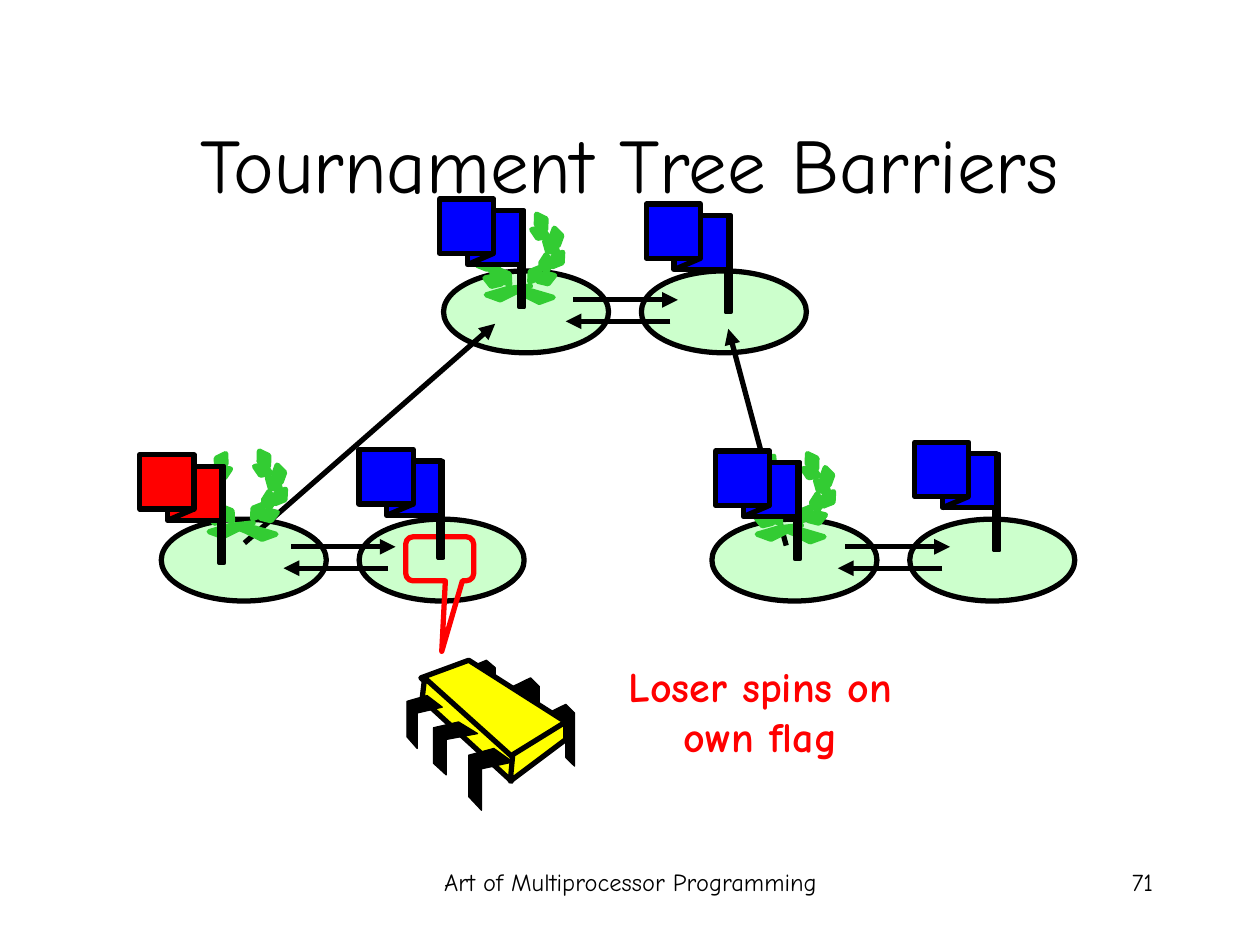
"""Build the tournament tree barrier slide."""
from dataclasses import dataclass

from lxml import etree
from pptx import Presentation, util as u
from pptx.dml.color import RGBColor
from pptx.enum import shapes as es, text as et
from pptx.oxml.ns import qn

SHAPE, ALIGN = es.MSO_SHAPE, et.PP_ALIGN


@dataclass(frozen=True)
class Theme:
    """Colours, font, type sizes and line widths."""
    ink: str = "000000"
    node: str = "CCFFCC"
    leaf: str = "33CC33"
    red: str = "FF0000"
    blue: str = "0000FF"
    chip: str = "FFFF00"
    font: str = "Comic Neue"
    head: int = 44
    note: int = 24
    foot: int = 14
    thick: float = 3
    pole: float = 2.25
    thin: float = 0.75


class Page:
    """Draw on one slide, with lengths in columns and rows of a grid."""

    COLS, ROWS = 10, 7.5

    def __init__(self, deck, theme):
        """Add a title-only slide to the deck."""
        self.theme = theme
        self.wide, self.high = deck.slide_width, deck.slide_height
        self.slide = deck.slides.add_slide(deck.slide_layouts[5])
        self.shapes = self.slide.shapes

    def grid(self, *vals):
        """Turn alternating columns and rows into lengths."""
        unit = (self.wide / self.COLS, self.high / self.ROWS)
        return [u.Emu(round(v * unit[i % 2])) for i, v in enumerate(vals)]

    def paint(self, shape, fill, line, width):
        """Set the fill and the outline of a shape."""
        shape.shadow.inherit = False
        if fill:
            shape.fill.solid()
            shape.fill.fore_color.rgb = RGBColor.from_string(fill)
        else:
            shape.fill.background()
        shape.line.color.rgb = RGBColor.from_string(line)
        shape.line.width = u.Pt(width)
        return shape

    def block(self, kind, box, fill, line=None, width=None, turn=0):
        """Add a preset shape."""
        shape = self.shapes.add_shape(kind, *self.grid(*box))
        shape.rotation = turn
        return self.paint(shape, fill, line or self.theme.ink, width or self.theme.thick)

    def poly(self, pts, fill, line=None, width=None):
        """Add a closed outline."""
        pts = [self.grid(*p) for p in pts]
        form = self.shapes.build_freeform(*pts[0])
        form.add_line_segments(pts[1:], close=True)
        return self.paint(form.convert_to_shape(), fill, line or self.theme.ink,
                          width or self.theme.thick)

    def line(self, start, end, arrow=True):
        """Add a straight line, with an arrowhead by default."""
        link = self.shapes.add_connector(es.MSO_CONNECTOR.STRAIGHT,
                                         *self.grid(*start, *end))
        link.line.color.rgb = RGBColor.from_string(self.theme.ink)
        link.line.width = u.Pt(self.theme.thick)
        if arrow:
            etree.SubElement(link.get_or_add_ln(), qn("a:tailEnd"), type="triangle")
        etree.SubElement(link._element.spPr, qn("a:effectLst"))

    def label(self, words, box, size, align=ALIGN.CENTER, color=None, bold=False,
              anchor=et.MSO_ANCHOR.TOP, shape=None):
        """Put words in a text box or in a given placeholder."""
        shape = shape or self.shapes.add_textbox(0, 0, 0, 0)
        for key, val in zip(("left", "top", "width", "height"), self.grid(*box)):
            setattr(shape, key, val)
        frame = shape.text_frame
        frame.text = words
        para = frame.paragraphs[0]
        font = para.runs[0].font
        form = [
            (frame, {"word_wrap": True, "auto_size": et.MSO_AUTO_SIZE.NONE,
                     "vertical_anchor": anchor}),
            (para, {"alignment": align}),
            (font, {"name": self.theme.font, "size": u.Pt(size), "bold": bold}),
            (font.color, {"rgb": RGBColor.from_string(color or self.theme.ink)}),
        ]
        for item, vals in form:
            for key, val in vals.items():
                setattr(item, key, val)

    def title(self, words, box):
        """Fill the title placeholder."""
        self.label(words, box, self.theme.head, anchor=et.MSO_ANCHOR.MIDDLE,
                   shape=self.shapes.title)

    def pair(self, x, y):
        """Add two neighbouring nodes."""
        for left in (x + 1.57, x):
            self.block(SHAPE.OVAL, (left, y, 1.31, 0.65), self.theme.node)

    def swap(self, x, y):
        """Add the two opposite arrows between nodes."""
        self.line((x + 0.06, y), (x + 0.89, y))
        self.line((x + 0.83, y + 0.17), (x, y + 0.17))

    def wreath(self, x, y, kept):
        """Add a laurel: a full right branch and the kept leaves of its mirror."""
        leaves = [(0, 0, 0), (0.09, -0.03, 35.7), (0.04, -0.13, 311.6),
                  (0.08, -0.21, 347.4), (-0.05, -0.24, 293.1), (-0.04, -0.33, 328.9),
                  (-0.09, 0.09, 35.3), (0, 0.12, 71)]
        stem = [(-0.08, 0.25), (-0.26, 0.27), (-0.43, 0.32), (-0.32, 0.36), (-0.2, 0.3)]
        green = self.theme.leaf
        twin = [(-0.42 - dx, dy + 0.02, -turn % 360)
                for dx, dy, turn in (leaves[i] for i in kept)]
        back = [(-0.33 - dx, dy + 0.02) for dx, dy in stem]
        for side, stalk in ((leaves, stem), (twin, back)):
            for dx, dy, turn in side:
                self.block(SHAPE.DIAMOND, (x + dx, y + dy, 0.09, 0.14), green, green,
                           turn=turn)
            self.poly([(x + dx, y + dy) for dx, dy in stalk], green, green)

    def flag(self, x, y, color):
        """Add a folded flag whose pole starts at the given point."""
        self.block(SHAPE.RECTANGLE, (x, y, 0.04, 0.77), self.theme.ink,
                   width=self.theme.pole)
        self.block(SHAPE.RECTANGLE, (x - 0.41, y, 0.43, 0.43), color)
        self.line((x - 0.41, y + 0.43), (x - 0.2, y + 0.34), arrow=False)
        self.block(SHAPE.RECTANGLE, (x - 0.63, y - 0.09, 0.43, 0.43), color)

    def pins(self, form, boxes):
        """Add chip pins, one outline stretched to each box."""
        for x, y, w, h in boxes:
            self.poly([(x + w * px, y + h * py) for px, py in form], self.theme.ink,
                      width=self.theme.thin)

    def chip(self):
        """Add the processor chip with its pins."""
        rear = [(0, 0.14), (0.67, 0), (1, 0.14), (1, 1), (0.67, 0.86), (0.67, 0.29),
                (0, 0.43)]
        front = [(0.57, 0), (1, 0.22), (0.29, 0.33), (0.29, 1), (0, 0.78), (0, 0.11)]
        faces = [[(3.72, 5.24), (4.49, 5.73), (4.06, 6.02), (3.34, 5.38)],
                 [(3.37, 5.38), (4.07, 6.01), (4.06, 6.2), (3.35, 5.55)],
                 [(4.49, 5.73), (4.49, 5.87), (4.05, 6.2), (4.07, 5.99)]]
        self.pins(rear, [(4.35, 5.59, 0.21, 0.49), (4.07, 5.38, 0.21, 0.49),
                         (3.72, 5.24, 0.21, 0.42)])
        for face in faces:
            self.poly(face, self.theme.chip)
        self.pins(front, [(3.72, 5.94, 0.35, 0.49), (3.44, 5.73, 0.35, 0.42),
                          (3.23, 5.52, 0.28, 0.42)])

    def bubble(self, box, tip):
        """Add an open callout pointing at the tip."""
        shape = self.block(SHAPE.ROUNDED_RECTANGULAR_CALLOUT, box, None, self.theme.red)
        for i, val in enumerate((*tip, 0.17)):
            shape.adjustments[i] = val


def main():
    """Build and save the slide."""
    deck = Presentation()
    deck.slide_width, deck.slide_height = u.Inches(10), u.Inches(7.5)
    theme = Theme()
    page = Page(deck, theme)
    page.label("Art of Multiprocessor Programming", (3.42, 6.83, 3.17, 0.5), theme.foot)
    page.label("71", (7.17, 6.83, 2.08, 0.5), theme.foot, ALIGN.RIGHT)
    page.title("Tournament Tree Barriers", (0.75, 0.67, 8.5, 1.25))
    for spot in ((1.28, 4.12), (5.65, 4.12), (3.52, 2.15)):
        page.pair(*spot)
    for spot in ((2.25, 4.34), (6.65, 4.34), (4.49, 2.38)):
        page.swap(*spot)
    page.line((1.94, 4.31), (3.93, 2.57))
    page.line((6.24, 4.33), (5.78, 2.61))
    page.wreath(2.09, 3.9, (0, 2, 3, 4, 5, 6, 7))
    page.wreath(6.44, 3.92, (1, 5, 6, 7))
    page.wreath(4.29, 2.02, (0, 1, 5, 6, 7))
    page.chip()
    page.bubble((3.22, 4.26, 0.54, 0.35), (0.03, 2.1))
    page.flag(1.74, 3.7, theme.red)
    page.label("Loser spins on own flag", (4.69, 5.19, 2.69, 0.9), theme.note,
               color=theme.red, bold=True)
    for spot in ((6.31, 3.67), (7.89, 3.6), (5.76, 1.71), (4.12, 1.67), (3.48, 3.66)):
        page.flag(*spot, theme.blue)
    deck.save("out.pptx")


if __name__ == "__main__":
    main()
